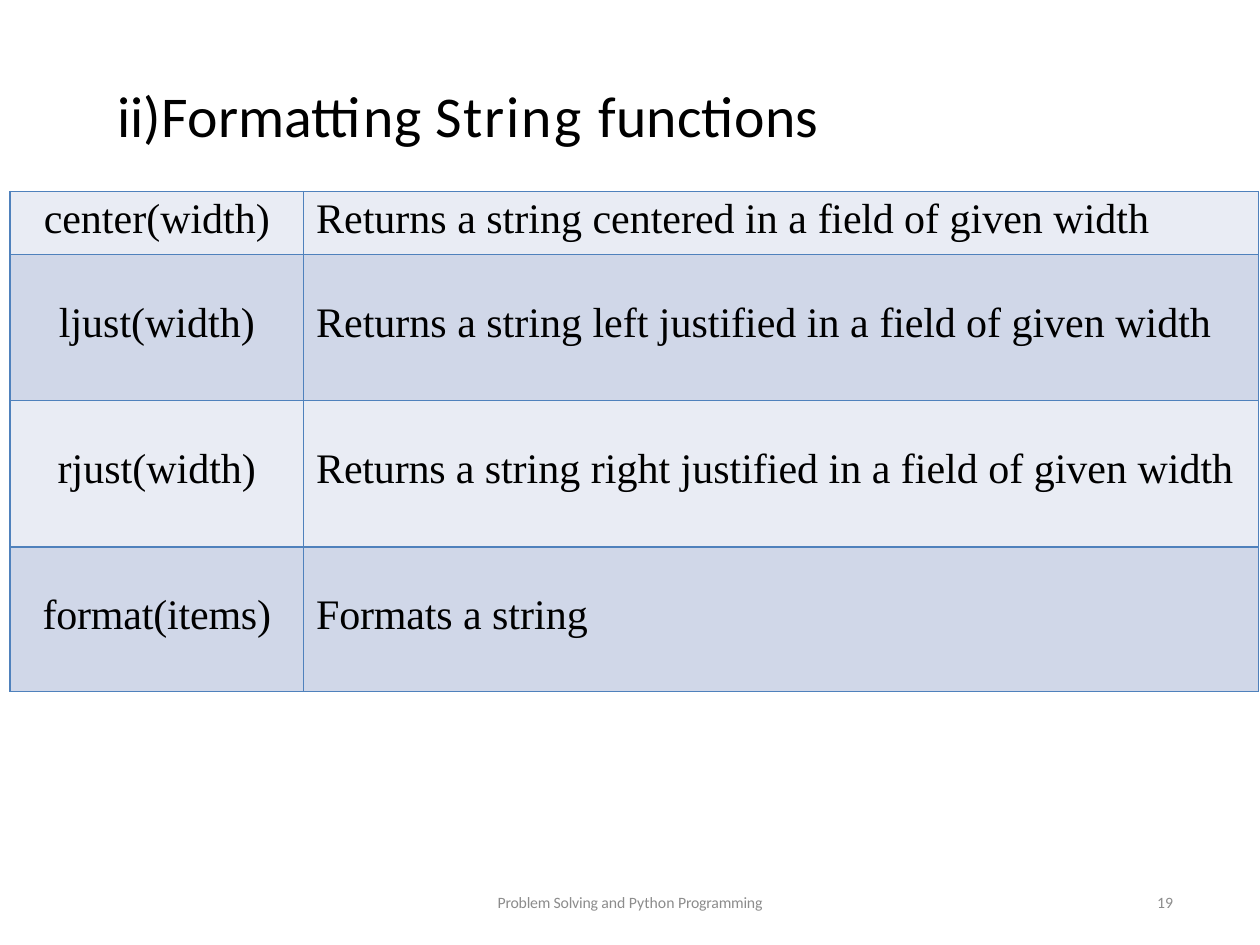
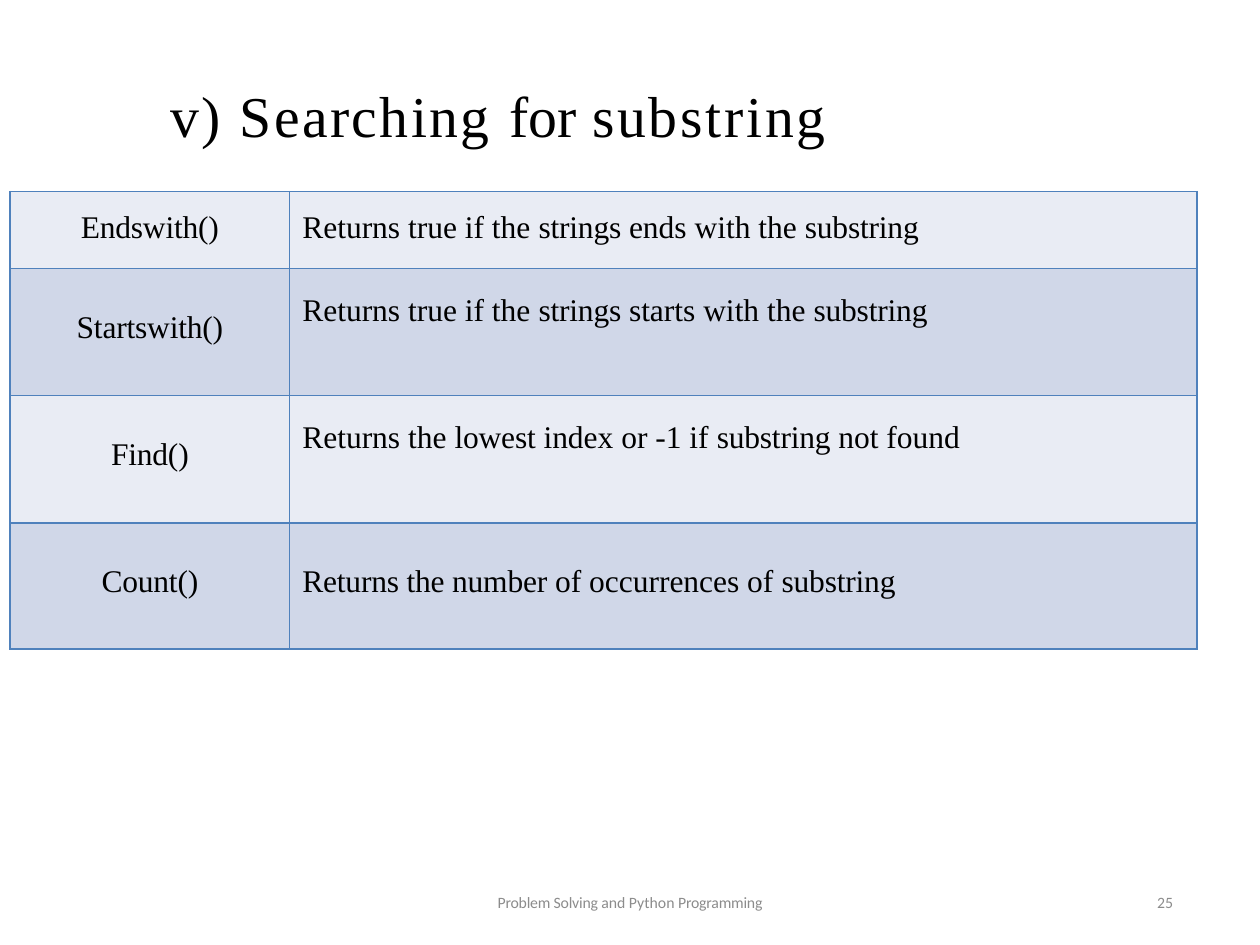
from lxml import etree
from pptx import Presentation
from pptx.dml.color import RGBColor
from pptx.enum.text import MSO_ANCHOR, PP_ALIGN
from pptx.oxml.ns import qn
from pptx.util import Inches, Pt

LEFT, CENTER, RIGHT = PP_ALIGN.LEFT, PP_ALIGN.CENTER, PP_ALIGN.RIGHT
TOP, MIDDLE = MSO_ANCHOR.TOP, MSO_ANCHOR.MIDDLE

COLORS = {
    "text": "000000",
    "footer": "8C8C8C",
    "border": "4F81BC",
    "light": "E9ECF4",
    "dark": "D0D7E8",
}
SANS, SERIF = "Calibri", "Times New Roman"
TABLE_LEFT, TABLE_TOP = 0.08, 1.52
TEXT_INDENT = 0.1

# Every text is a list of (words, letter spacing in points).
FOOTER = [("Problem Solving ", -0.1), ("and Python ", 0), ("Programming", -0.1)]

# Each table row is (height, name, name top margin, description, description top margin).
SLIDES = [
    {
        "title": [("ii)Formatting ", 0.1), ("String ", 1.1), ("functions", 0.1)],
        "title_font": SANS,
        "title_place": (0.92, 0.52, 8.17, 0.76),
        "number": "19",
        "size": 24,
        "columns": (2.33, 7.58),
        "rows": [
            (0.5, [("center(width)", 0)], 0.04,
             [("Returns a string centered in a ", 0), ("field ", -0.1),
              ("of given width", 0)], 0.04),
            (1.16, [("ljust(width)", 0)], 0.36,
             [("Returns a string left justified in a ", 0), ("field ", -0.1),
              ("of given width", 0)], 0.36),
            (1.16, [("rjust(width)", 0)], 0.36,
             [("Returns a ", -0.1),
              ("string right justified in a field of given width", 0)], 0.36),
            (1.15, [("format(items)", -0.1)], 0.36,
             [("Formats ", -0.1), ("a string", 0)], 0.36),
        ],
    },
    {
        "title": [("v) Searching ", 1.4), ("for ", 0.1), ("substring", 1.6)],
        "title_font": SERIF,
        "title_place": (1.34, 0.62, 7.32, 0.57),
        "number": "25",
        "size": 18,
        "columns": (2.22, 7.2),
        "rows": [
            (0.61, [("Endswith()", -0.1)], 0.15,
             [("Returns true if the ", 0), ("strings ", -0.1),
              ("ends with the ", 0), ("substring", -0.1)], 0.15),
            (1.01, [("Startswith()", -0.1)], 0.33,
             [("Returns true if the ", 0), ("strings ", -0.1),
              ("starts with the ", 0), ("substring", -0.1)], 0.2),
            (1.01, [("Find()", -0.1)], 0.33,
             [("Returns the ", 0), ("lowest ", -0.1), ("index or -1 if ", 0),
              ("substring ", -0.1), ("not found", 0)], 0.2),
            (1, [("Count()", -0.1)], 0.33,
             [("Returns the ", -0.1), ("number ", -0.1),
              ("of occurrences of ", 0), ("substring", -0.1)], 0.33),
        ],
    },
]


def write(para, spans, font, size, color, align):
    para.alignment = align
    for words, spacing in spans:
        span = para.add_run()
        span.text = words
        span.font.name = font
        span.font.size = Pt(size)
        span.font.color.rgb = RGBColor.from_string(COLORS[color])
        span.font._element.set("spc", str(round(spacing * 100)))


def set_margins(holder, left, top):
    holder.margin_left, holder.margin_top = Inches(left), Inches(top)
    holder.margin_right = holder.margin_bottom = 0


def add_text(page, place, spans, font, size, color, align, left=0, top=0):
    box = page.shapes.add_textbox(*map(Inches, place))
    frame = box.text_frame
    frame.word_wrap = True
    frame.vertical_anchor = MIDDLE
    set_margins(frame, left, top)
    para = frame.paragraphs[0]
    write(para, spans, font, size, color, align)
    return para


def add_borders(cell):
    properties = cell._tc.get_or_add_tcPr()
    for position, side in enumerate(("a:lnL", "a:lnR", "a:lnT", "a:lnB")):
        line = etree.Element(qn(side), w=str(Pt(1)))
        fill = etree.SubElement(line, qn("a:solidFill"))
        etree.SubElement(fill, qn("a:srgbClr"), val=COLORS["border"])
        properties.insert(position, line)


def add_function_table(page, columns, rows, size):
    heights = [row[0] for row in rows]
    place = (TABLE_LEFT, TABLE_TOP, sum(columns), sum(heights))
    table = page.shapes.add_table(len(rows), len(columns), *map(Inches, place)).table
    table.first_row = table.horz_banding = False
    for column, width in zip(table.columns, columns):
        column.width = Inches(width)
    for index, (height, name, name_top, description, description_top) in enumerate(rows):
        table.rows[index].height = Inches(height)
        band = "dark" if index % 2 else "light"
        contents = [
            (name, CENTER, 0, name_top),
            (description, LEFT, TEXT_INDENT, description_top),
        ]
        for cell, (spans, align, left, top) in zip(table.rows[index].cells, contents):
            set_margins(cell, left, top)
            cell.vertical_anchor = TOP
            cell.fill.solid()
            cell.fill.fore_color.rgb = RGBColor.from_string(COLORS[band])
            write(cell.text_frame.paragraphs[0], spans, SERIF, size, "text", align)
            add_borders(cell)


def add_footer(page, number):
    for place, spans, align in [
        ((3.31, 6.95, 3.38, 0.4), FOOTER, CENTER),
        ((7.06, 6.95, 2.25, 0.4), [(number, 0)], RIGHT),
    ]:
        para = add_text(page, place, spans, SANS, 9, "footer", align)
        para.line_spacing = Pt(12.4)


deck = Presentation()
deck.slide_width, deck.slide_height = Inches(10), Inches(7.5)
for content in SLIDES:
    page = deck.slides.add_slide(deck.slide_layouts[6])
    heading = add_text(page, content["title_place"], content["title"],
                       content["title_font"], 33, "text", LEFT, 0.01, 0.01)
    heading.space_before = Pt(1.1)
    add_footer(page, content["number"])
    add_function_table(page, content["columns"], content["rows"], content["size"])
deck.save("out.pptx")
